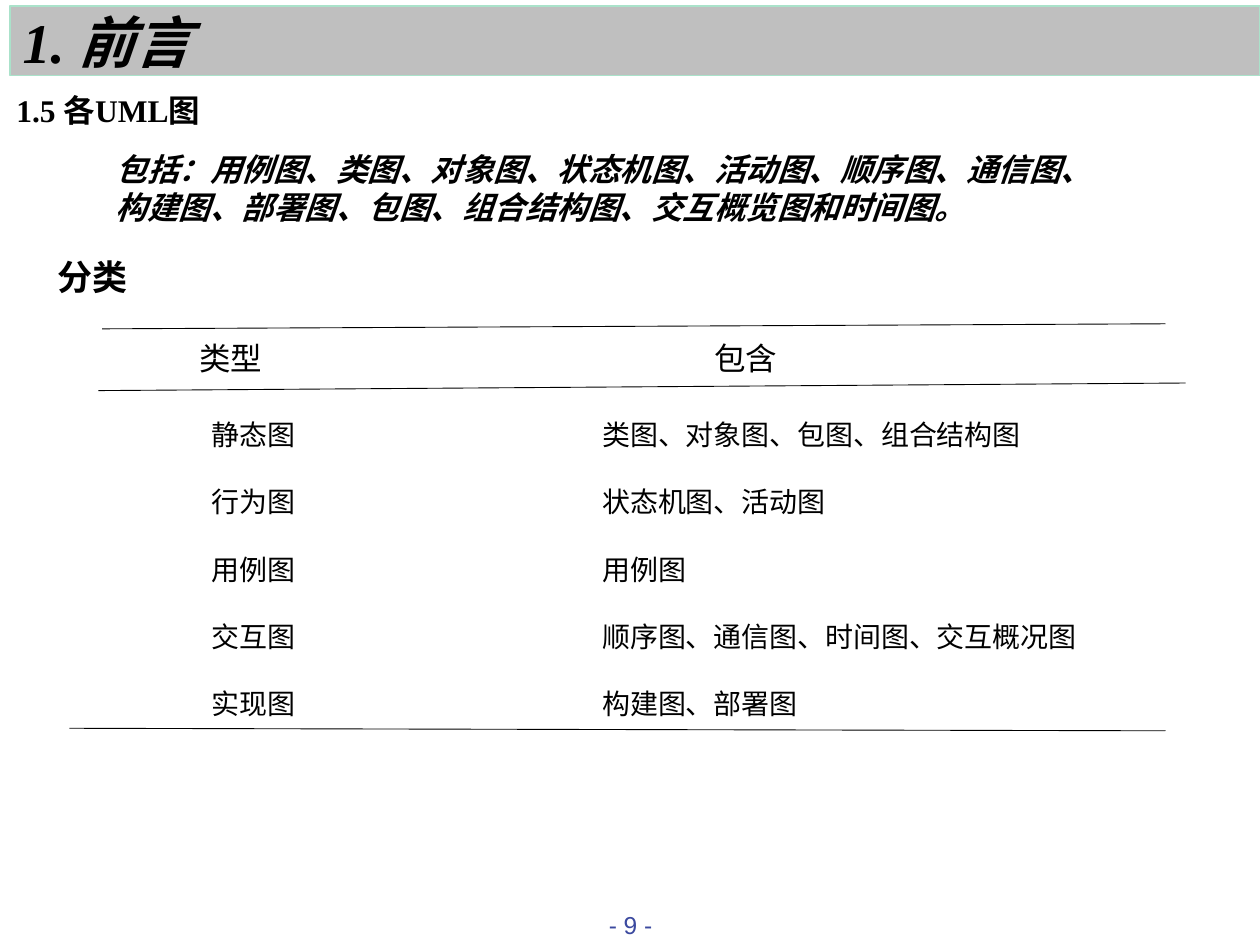
from lxml import etree
from pptx import Presentation, util as u
from pptx.dml.color import RGBColor
from pptx.enum import shapes, text
from pptx.oxml.ns import qn

COLORS = {"ink": "000000", "band": "BFBFBF", "band_edge": "AAE2CA", "page": "3B499F"}
SERIF = "Times New Roman"
SANS = "Arial"

TABLE_LEFT, TABLE_TOP = 0.59, 2.49
COLUMN_WIDTHS = (4.09, 4.56)
HEADER_HEIGHT, ROW_HEIGHT = 0.68, 0.535
HEADER_INDENTS = (0.99, 0.99)
ROW_INDENTS = (1.09, 0.1)
DIAGRAM_TYPES = [
    ("类型", "包含"),
    ("静态图", "类图、对象图、包图、组合结构图"),
    ("行为图", "状态机图、活动图"),
    ("用例图", "用例图"),
    ("交互图", "顺序图、通信图、时间图、交互概况图"),
    ("实现图", "构建图、部署图"),
]
RULES = [
    (0.81, 2.61, 9.25, 2.57),
    (0.78, 3.1, 9.41, 3.04),
    (0.55, 5.78, 9.25, 5.8),
]


def color(name):
    return RGBColor.from_string(COLORS[name])


def format_run(run, size, font=SERIF, ink="ink", bold=False, italic=False):
    run.font.size = u.Pt(size)
    run.font.name = font
    run.font.bold = bold
    run.font.italic = italic
    run.font.color.rgb = color(ink)


def add_title(slide):
    title = slide.shapes.title
    title.left, title.top, title.width, title.height = map(u.Inches, (0.08, 0.05, 9.92, 0.55))
    title.fill.solid()
    title.fill.fore_color.rgb = color("band")
    title.line.color.rgb = color("band_edge")
    title.line.width = u.Pt(1)
    frame = title.text_frame
    frame.auto_size = text.MSO_AUTO_SIZE.NONE
    frame.vertical_anchor = text.MSO_ANCHOR.MIDDLE
    heading = frame.paragraphs[0]
    heading.alignment = text.PP_ALIGN.LEFT
    for wording, font in (("1. ", SERIF), ("前言", SANS)):
        run = heading.add_run()
        run.text = wording
        format_run(run, 32, font, bold=True, italic=True)


def add_text(slide, box, wording, size, align=text.PP_ALIGN.LEFT, inset=None, **style):
    frame = slide.shapes.add_textbox(*map(u.Inches, box)).text_frame
    frame.word_wrap = True
    if inset is not None:
        frame.margin_left = frame.margin_right = u.Inches(inset)
        frame.margin_top = frame.margin_bottom = u.Inches(inset)
    frame.text = wording
    paragraph = frame.paragraphs[0]
    paragraph.alignment = align
    format_run(paragraph.runs[0], size, **style)
    return paragraph


def add_type_table(slide):
    height = HEADER_HEIGHT + ROW_HEIGHT * (len(DIAGRAM_TYPES) - 1)
    box = (TABLE_LEFT, TABLE_TOP, sum(COLUMN_WIDTHS), height)
    table = slide.shapes.add_table(
        len(DIAGRAM_TYPES), len(COLUMN_WIDTHS), *map(u.Inches, box)).table
    table.first_row = table.horz_banding = False
    for column, width in zip(table.columns, COLUMN_WIDTHS):
        column.width = u.Inches(width)
    for r, entries in enumerate(DIAGRAM_TYPES):
        is_header = r == 0
        table.rows[r].height = u.Inches(HEADER_HEIGHT if is_header else ROW_HEIGHT)
        indents = HEADER_INDENTS if is_header else ROW_INDENTS
        for c, (entry, indent) in enumerate(zip(entries, indents)):
            cell = table.cell(r, c)
            cell.fill.background()
            cell.margin_left = u.Inches(indent)
            cell.vertical_anchor = text.MSO_ANCHOR.MIDDLE
            cell.text = entry
            format_run(cell.text_frame.paragraphs[0].runs[0], 18 if is_header else 16)


def add_rule(slide, ends):
    rule = slide.shapes.add_connector(shapes.MSO_CONNECTOR.STRAIGHT, *map(u.Inches, ends))
    rule.line.color.rgb = color("ink")
    rule.line.width = u.Pt(0.5)
    etree.SubElement(rule._element.spPr, qn("a:effectLst"))


def main():
    deck = Presentation()
    deck.slide_width, deck.slide_height = u.Inches(10), u.Inches(7.5)
    slide = deck.slides.add_slide(deck.slide_layouts[5])

    add_title(slide)
    section = add_text(slide, (0.13, 0.72, 4.79, 0.83), "1.5 各UML图", 18,
                       inset=0, bold=True)
    section.space_before = u.Pt(3.6)
    add_text(slide, (0.82, 1.14, 7.85, 0.71),
             "包括：用例图、类图、对象图、状态机图、活动图、顺序图、通信图、"
             "构建图、部署图、包图、组合结构图、交互概览图和时间图。",
             18, bold=True, italic=True)
    add_text(slide, (0.36, 1.98, 1.95, 0.44), "分类", 20, bold=True)
    add_type_table(slide)
    for ends in RULES:
        add_rule(slide, ends)
    add_text(slide, (4.42, 7.17, 1.17, 0.33), "- 9 -", 14,
             align=text.PP_ALIGN.CENTER, font=SANS, ink="page")
    deck.save("out.pptx")


if __name__ == "__main__":
    main()
